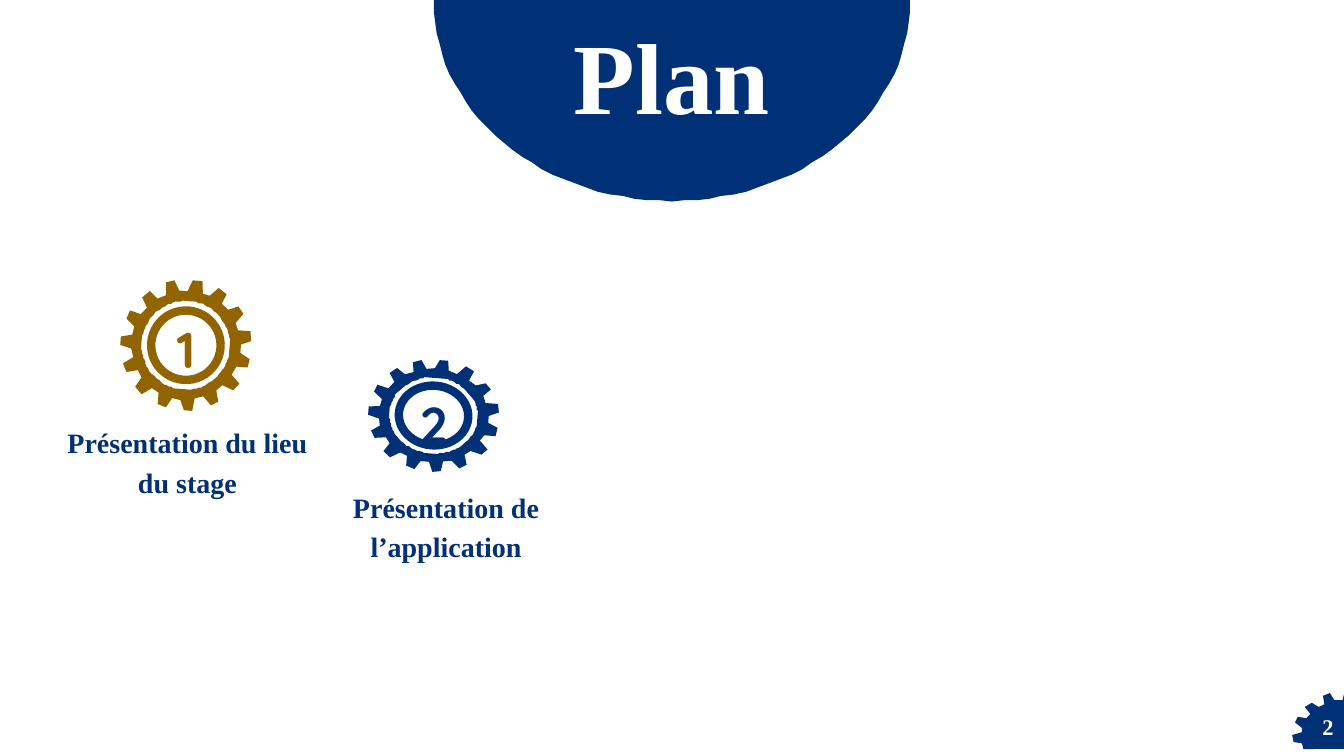
from dataclasses import dataclass
from math import cos, radians, sin

from pptx import Presentation
from pptx.dml.color import RGBColor
from pptx.enum.shapes import MSO_SHAPE as Preset
from pptx.enum.text import MSO_ANCHOR as Anchor, MSO_AUTO_SIZE as AutoSize, PP_ALIGN as Align
from pptx.shapes.autoshape import Shape
from pptx.slide import Slide
from pptx.util import Pt

NAVY, GOLD, WHITE = "003076", "916400", "FFFFFF"
SERIF, ROUNDED = "Times New Roman", "Quicksand"
Point = tuple[float, float]
Box = tuple[float, float, float, float]

TEETH = 15
TIP_RADIUS, ROOT_RADIUS, HOLE_RADIUS, RING_RADIUS = 46.8, 39, 31.7, 24.8
TILT = 4.5

PAGE_GEAR = [
    (950.4, 495.4), (953.3, 500.4), (959, 499.7), (960, 496), (960, 504.7),
    (957.6, 504.7), (949, 507), (942, 511.5), (937, 517.5), (935.3, 524.2),
    (936.7, 532.8), (938.2, 535), (931, 535), (930.2, 530.6), (923.8, 529.9),
    (923, 524.9), (929.5, 523.4), (930.2, 519.8), (925.2, 516.2), (926.6, 511.9),
    (933.1, 513.4), (936, 509.8), (932.4, 504.7), (936.7, 501.8), (941.8, 504.7),
    (946.1, 502.6), (945.4, 496.8),
]


@dataclass
class Chapter:
    number: str
    center: Point
    squash: float
    color: str
    heading: list[str]
    heading_box: Box


CHAPTERS = [
    Chapter("1", (132.8, 246.6), 1, GOLD,
            ["Présentation du lieu", "du stage"], (0, 300.2, 267.8, 54)),
    Chapter("2", (309.7, 296.8), 0.86, NAVY,
            ["Présentation de", "l’application"], (193, 346.3, 251.3, 54)),
]


def rgb(color: str) -> RGBColor:
    return RGBColor.from_string(color)


def arc(center: Point, rx: float, ry: float, start: int, end: int, step: int = 3) -> list[Point]:
    """Points along an ellipse, in degrees clockwise from the right."""
    return [(center[0] + rx * cos(radians(a)), center[1] + ry * sin(radians(a)))
            for a in range(start, end + 1, step)]


def add_outline(slide: Slide, contours: list[list[Point]], color: str) -> Shape:
    """Fill closed contours; an inner contour becomes a hole."""
    builder = slide.shapes.build_freeform(*contours[0][0], scale=float(Pt(1)))
    for index, contour in enumerate(contours):
        if index:
            builder.move_to(*contour[0])
        builder.add_line_segments(contour[1:], close=True)
    outline = builder.convert_to_shape()
    outline.shadow.inherit = False
    outline.fill.solid()
    outline.fill.fore_color.rgb = rgb(color)
    outline.line.fill.background()
    return outline


def write_text(holder: Shape, lines: list[str], *, size: float, color: str,
               font: str = SERIF, spacing: float | None = None,
               anchor: Anchor = Anchor.TOP, grow: bool = True) -> None:
    frame = holder.text_frame
    frame.word_wrap = True
    frame.auto_size = AutoSize.SHAPE_TO_FIT_TEXT if grow else AutoSize.NONE
    frame.vertical_anchor = anchor
    frame.margin_left = frame.margin_right = frame.margin_top = frame.margin_bottom = 0
    frame.text = "\n".join(lines)
    for paragraph in frame.paragraphs:
        paragraph.alignment = Align.CENTER
        if spacing:
            paragraph.line_spacing = Pt(spacing)
        for run in paragraph.runs:
            run.font.name = font
            run.font.size = Pt(size)
            run.font.bold = True
            run.font.color.rgb = rgb(color)


def add_text(slide: Slide, box: Box, lines: list[str], **style) -> None:
    write_text(slide.shapes.add_textbox(*map(Pt, box)), lines, **style)


def gear_rim(center: Point, squash: float) -> list[Point]:
    corners = ((-7.5, ROOT_RADIUS), (-4.1, TIP_RADIUS), (4.1, TIP_RADIUS), (7.5, ROOT_RADIUS))
    rim = []
    for tooth in range(TEETH):
        for offset, radius in corners:
            angle = radians(11.4 + tooth * 360 / TEETH + offset)
            rim.append((center[0] + radius * cos(angle),
                        center[1] + squash * radius * sin(angle)))
    return rim


def add_chapter(slide: Slide, chapter: Chapter) -> None:
    x, y = chapter.center
    squash = chapter.squash
    hole = arc(chapter.center, HOLE_RADIUS, HOLE_RADIUS * squash, 0, 357)
    gear = add_outline(slide, [gear_rim(chapter.center, squash), hole], chapter.color)
    gear.rotation = TILT

    ring = slide.shapes.add_shape(
        Preset.OVAL, Pt(x - RING_RADIUS), Pt(y - RING_RADIUS * squash),
        Pt(2 * RING_RADIUS), Pt(2 * RING_RADIUS * squash))
    ring.rotation = TILT
    ring.shadow.inherit = False
    ring.fill.background()
    ring.line.color.rgb = rgb(chapter.color)
    ring.line.width = Pt(6)

    add_text(slide, (x - 43.5, y - 24.1 * squash, 87, 48.2 * squash), [chapter.number],
             size=36, color=chapter.color, font=ROUNDED, spacing=48.1)
    add_text(slide, chapter.heading_box, chapter.heading, size=20, color=NAVY, spacing=28)


def add_banner_title(slide: Slide) -> None:
    half_disc = arc((480, 2), 170, 141.5, 0, 180)
    banner = add_outline(slide, [[(310, 0), (650, 0), *half_disc]], NAVY)
    title = slide.shapes.title
    title.left, title.top, title.width, title.height = map(Pt, (347, 48.2, 265.7, 46.1))
    write_text(title, ["Plan"], size=72, color=WHITE, spacing=48.1)
    banner.element.addnext(title.element)


def add_page_number(slide: Slide) -> None:
    add_outline(slide, [PAGE_GEAR], NAVY)
    quarter_disc = arc((960, 530), 27.6, 26, 180, 270)
    add_outline(slide, [[(960, 535), (932.4, 535), *quarter_disc]], NAVY)
    add_text(slide, (937.4, 510.5, 22.4, 16.6), ["2"], size=16, color=WHITE,
             anchor=Anchor.MIDDLE, grow=False)


def main() -> None:
    deck = Presentation()
    deck.slide_width, deck.slide_height = Pt(960), Pt(540)
    slide = deck.slides.add_slide(deck.slide_layouts.get_by_name("Title Only"))
    add_banner_title(slide)
    for chapter in CHAPTERS:
        add_chapter(slide, chapter)
    add_page_number(slide)
    deck.save("out.pptx")


if __name__ == "__main__":
    main()
